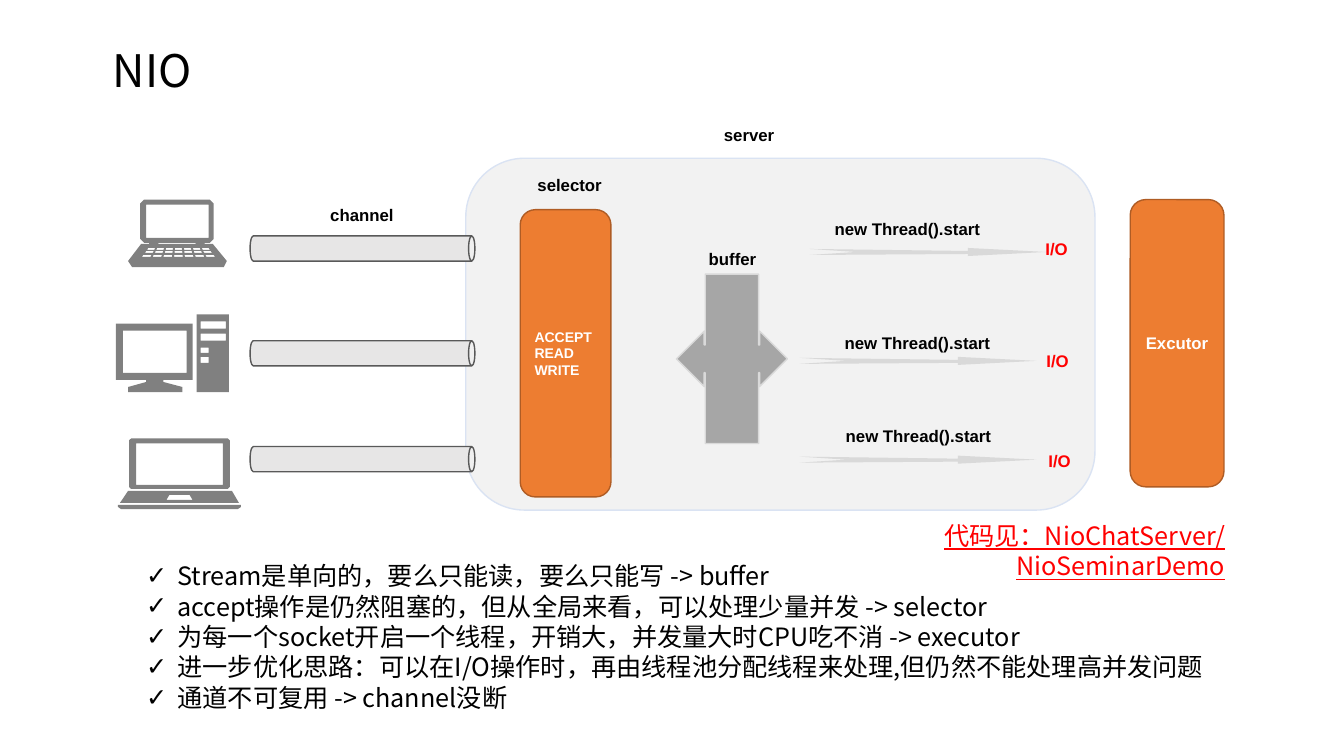
from dataclasses import dataclass

from lxml import etree
from pptx import Presentation
from pptx.dml.color import RGBColor
from pptx.enum.shapes import MSO_SHAPE
from pptx.enum.text import MSO_ANCHOR, MSO_AUTO_SIZE, PP_ALIGN
from pptx.oxml.ns import qn
from pptx.util import Inches, Pt

ROUND_RECT = MSO_SHAPE.ROUNDED_RECTANGLE
CAN = MSO_SHAPE.CAN
CALLOUT = MSO_SHAPE.LEFT_RIGHT_ARROW_CALLOUT
MIDDLE, TOP = MSO_ANCHOR.MIDDLE, MSO_ANCHOR.TOP
LEFT, CENTER, RIGHT = PP_ALIGN.LEFT, PP_ALIGN.CENTER, PP_ALIGN.RIGHT
LATIN, CJK = "Arial", "Noto Sans CJK SC"
LINE_PITCH = Pt(21.7)
COLORS = {
    "black": "000000", "white": "FFFFFF", "red": "FF0000",
    "server": "F2F2F2", "server_line": "DAE3F3",
    "orange": "ED7D31", "orange_line": "AF5C24",
    "pipe": "E7E6E6", "pipe_line": "595959",
    "buffer": "A6A6A6", "thread": "D9D9D9", "device": "808080",
}
Contour = list[tuple[float, float]]


@dataclass
class Block:
    preset: int
    left: float
    top: float
    width: float
    height: float
    fill: str
    line: str
    rotation: int = 0
    lines: tuple[str, ...] = ()
    size: float = 12
    align: int = CENTER


@dataclass
class Label:
    text: str
    left: float
    top: float
    width: float
    height: float = 0.3
    color: str = "black"
    size: float = 12
    font: str = LATIN
    align: int = CENTER
    wrap: bool = True


SELECTOR_STEPS = ("ACCEPT", "READ", "WRITE")
BLOCKS = [
    Block(ROUND_RECT, 4.62, 1.57, 6.24, 3.49, "server", "server_line"),
    Block(ROUND_RECT, 11.21, 1.98, 0.93, 2.85, "orange", "orange_line", lines=("Excutor",)),
    Block(ROUND_RECT, 5.16, 2.08, 0.9, 2.85, "orange", "orange_line",
          lines=SELECTOR_STEPS, size=10, align=LEFT),
    *(Block(CAN, 3.47, top, 0.25, 2.23, "pipe", "pipe_line", 90) for top in (1.35, 2.39, 3.44)),
    Block(CALLOUT, 6.71, 2.72, 1.1, 1.68, "buffer", "thread"),
]
LABELS = [
    *(Label("new Thread().start", left, top, 2.74)
      for left, top in ((7.63, 2.12), (7.73, 3.25), (7.74, 4.17))),
    *(Label("I/O", left, top, 0.42, color="red", align=LEFT, wrap=False)
      for left, top in ((10.27, 2.32), (10.28, 3.43), (10.3, 4.42))),
    Label("channel", 2.7, 1.98, 1.78),
    Label("selector", 4.76, 1.68, 1.78),
    Label("server", 6.54, 1.19, 1.78),
    Label("buffer", 6.75, 2.42, 1.03),
    Label("代码见：NioChatServer/NioSeminarDemo", 7.49, 5.11, 4.76, 0.4, "red", 18, CJK, RIGHT),
]
NOTES = [
    "Stream是单向的，要么只能读，要么只能写 -> buffer",
    "accept操作是仍然阻塞的，但从全局来看，可以处理少量并发 -> selector",
    "为每一个socket开启一个线程，开销大，并发量大时CPU吃不消 -> executor",
    "进一步优化思路：可以在I/O操作时，再由线程池分配线程来处理,但仍然不能处理高并发问题",
    "通道不可复用 -> channel没断",
]
THREAD_ORIGINS = [(8.03, 2.46), (7.93, 3.54), (7.93, 4.52)]
THREAD_OUTLINE = [(1.57, 0), (2.35, 0.04), (1.57, 0.08), (1.57, 0.06),
                  (0, 0.07), (0.46, 0.04), (0, 0.01), (1.57, 0.03)]


def rect(left: float, top: float, right: float, bottom: float) -> Contour:
    return [(left, top), (right, top), (right, bottom), (left, bottom)]


def chamfered(left: float, top: float, right: float, bottom: float, cut: float) -> Contour:
    return [(left + cut, top), (right - cut, top), (right, top + cut), (right, bottom - cut),
            (right - cut, bottom), (left + cut, bottom), (left, bottom - cut), (left, top + cut)]


def key_row(left: float, right: float, top: float) -> list[Contour]:
    count, gap, center, flare = 7, 0.02, 1.76, 1.04
    width = (right - left + gap) / count - gap
    starts = [left + i * (width + gap) for i in range(count)]
    return [[(x, top), (x + width, top),
             (center + (x + width - center) * flare, top + 0.02),
             (center + (x - center) * flare, top + 0.02)] for x in starts]


NOTEBOOK = [
    chamfered(1.39, 1.98, 2.12, 2.41, 0.04), rect(1.45, 2.03, 2.07, 2.36),
    rect(1.48, 2.41, 1.57, 2.42), rect(1.94, 2.41, 2.03, 2.42),
    [(1.4, 2.42), (2.11, 2.42), (2.25, 2.59), (2.22, 2.65), (1.31, 2.65), (1.27, 2.59)],
    *key_row(1.47, 2.07, 2.46), *key_row(1.45, 2.09, 2.49), *key_row(1.42, 2.12, 2.53),
]
DESKTOP = [
    rect(1.15, 3.21, 1.91, 3.77), rect(1.22, 3.28, 1.85, 3.7),
    [(1.45, 3.77), (1.62, 3.77), (1.62, 3.79), (1.81, 3.84),
     (1.81, 3.89), (1.27, 3.89), (1.27, 3.84), (1.45, 3.79)],
    rect(1.95, 3.12, 2.27, 3.89), rect(1.99, 3.19, 2.24, 3.26), rect(1.99, 3.31, 2.24, 3.38),
    rect(1.99, 3.45, 2.07, 3.5), rect(1.99, 3.54, 2.07, 3.6),
]
LAPTOP = [
    chamfered(1.28, 4.35, 2.28, 4.85, 0.02), rect(1.35, 4.4, 2.21, 4.81),
    [(1.27, 4.87), (2.3, 4.87), (2.37, 4.99), (1.19, 4.99)],
    [(1.68, 4.91), (1.88, 4.91), (1.91, 4.96), (1.65, 4.96)],
    [(1.17, 5.01), (2.39, 5.01), (2.39, 5.03), (2.36, 5.05), (1.2, 5.05), (1.17, 5.03)],
]


def rgb(name: str) -> RGBColor:
    return RGBColor.from_string(COLORS[name])


def add_run(p, text: str, size: float, color: str, font: str = LATIN):
    r = p.add_run()
    r.text = text
    r.font.size = Pt(size)
    r.font.name = font
    r.font.bold = font == LATIN
    r.font.color.rgb = rgb(color)
    if font == CJK:
        etree.SubElement(r.font._element, qn("a:ea"), typeface=font)
    return r


def draw_block(slide, block: Block) -> None:
    sp = slide.shapes.add_shape(block.preset, Inches(block.left), Inches(block.top),
                                Inches(block.width), Inches(block.height))
    sp.shadow.inherit = False
    sp.rotation = block.rotation
    sp.fill.solid()
    sp.fill.fore_color.rgb = rgb(block.fill)
    sp.line.color.rgb = rgb(block.line)
    sp.line.width = Pt(1)
    tf = sp.text_frame
    tf.vertical_anchor = MIDDLE
    for i, text in enumerate(block.lines):
        p = tf.add_paragraph() if i else tf.paragraphs[0]
        p.alignment = block.align
        add_run(p, text, block.size, "white")


def draw_label(slide, label: Label) -> None:
    sp = slide.shapes.add_textbox(Inches(label.left), Inches(label.top),
                                  Inches(label.width), Inches(label.height))
    sp.text_frame.word_wrap = label.wrap
    p = sp.text_frame.paragraphs[0]
    p.alignment = label.align
    r = add_run(p, label.text, label.size, label.color, label.font)
    if label.font == CJK:
        p.line_spacing = LINE_PITCH
        r.font.underline = True


def draw_outline(slide, contours: list[Contour], fill: str) -> None:
    scaled = [[(Inches(x), Inches(y)) for x, y in contour] for contour in contours]
    builder = slide.shapes.build_freeform(*scaled[0][0])
    for i, points in enumerate(scaled):
        if i:
            builder.move_to(*points[0])
        builder.add_line_segments(points[1:], close=True)
    sp = builder.convert_to_shape()
    sp.shadow.inherit = False
    sp.fill.solid()
    sp.fill.fore_color.rgb = rgb(fill)
    sp.line.fill.background()


def place(sp, left: float, top: float, width: float, height: float, anchor: int):
    sp.left, sp.top, sp.width, sp.height = (Inches(v) for v in (left, top, width, height))
    tf = sp.text_frame
    tf.auto_size = MSO_AUTO_SIZE.NONE
    tf.vertical_anchor = anchor
    return tf


def fill_placeholders(slide) -> None:
    p = place(slide.shapes.title, 1.02, 0.24, 11.5, 0.97, MIDDLE).paragraphs[0]
    p.alignment = LEFT
    p.line_spacing = 0.9
    add_run(p, "NIO", 32, "black", CJK)
    tf = place(slide.placeholders[1], 1.35, 5.51, 10.85, 1.61, TOP)
    for i, note in enumerate(NOTES):
        p = tf.add_paragraph() if i else tf.paragraphs[0]
        p.line_spacing = LINE_PITCH
        p.space_before = Pt(0)
        pPr = p._p.get_or_add_pPr()
        pPr.set("marL", str(Inches(0.31)))
        pPr.set("indent", str(Inches(-0.31)))
        etree.SubElement(pPr, qn("a:buChar"), char="✓")
        add_run(p, note, 18, "black", CJK)


def main() -> None:
    prs = Presentation()
    prs.slide_width, prs.slide_height = Inches(13.33), Inches(7.5)
    slide = prs.slides.add_slide(prs.slide_layouts[1])
    fill_placeholders(slide)
    for block in BLOCKS:
        draw_block(slide, block)
    for device in (NOTEBOOK, DESKTOP, LAPTOP):
        draw_outline(slide, device, "device")
    for left, top in THREAD_ORIGINS:
        draw_outline(slide, [[(left + x, top + y) for x, y in THREAD_OUTLINE]], "thread")
    for label in LABELS:
        draw_label(slide, label)
    prs.save("out.pptx")


if __name__ == "__main__":
    main()
